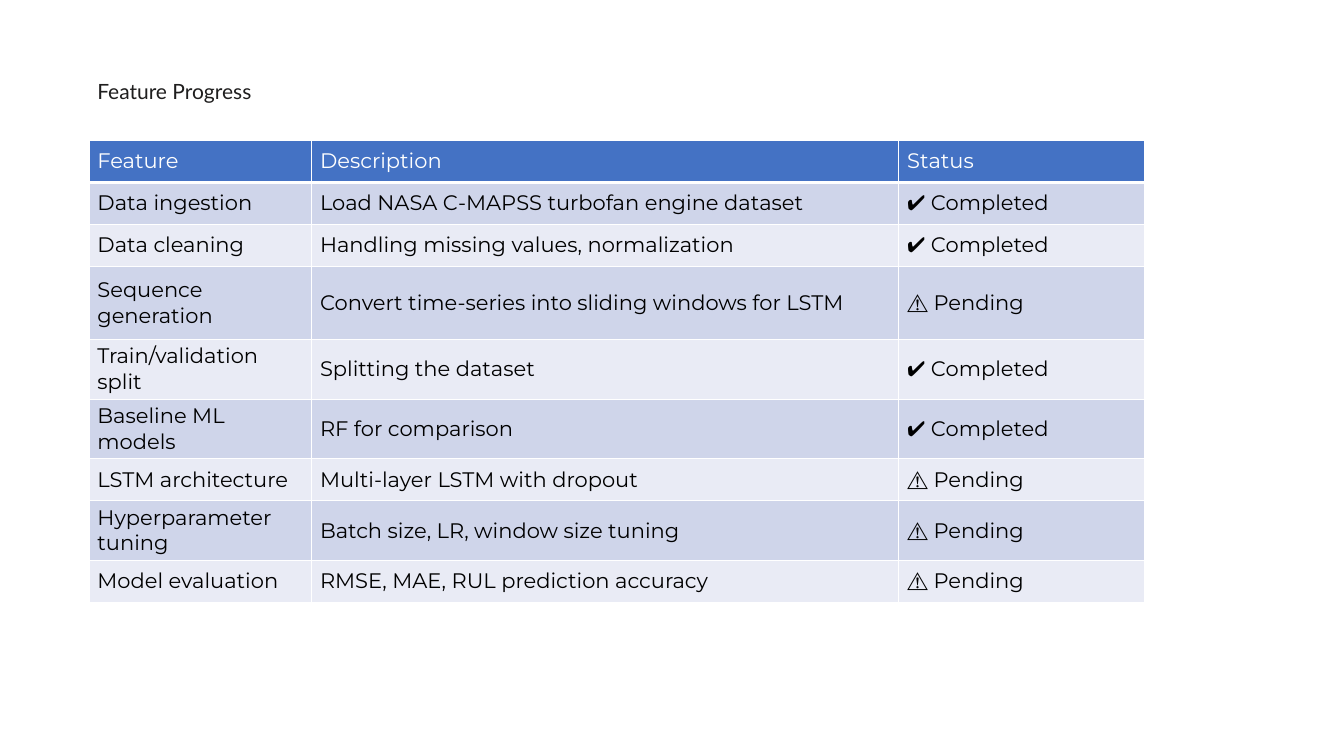
from lxml.etree import SubElement
from pptx import Presentation
from pptx.dml.color import RGBColor
from pptx.enum.text import MSO_ANCHOR as Anchor, MSO_AUTO_SIZE as AutoSize
from pptx.oxml.ns import qn
from pptx.util import Inches, Pt

WHITE = RGBColor(0xFF, 0xFF, 0xFF)
BLACK = RGBColor(0x00, 0x00, 0x00)
INK = RGBColor(0x1F, 0x1E, 0x1E)
HEADER_BLUE = RGBColor(0x44, 0x72, 0xC4)
BAND_DARK = RGBColor(0xCF, 0xD5, 0xEA)
BAND_LIGHT = RGBColor(0xE9, 0xEB, 0xF5)

DONE = "✔️ Completed"
PENDING = "⚠️ Pending"
FEATURES = [
    ("Feature", "Description", "Status"),
    ("Data ingestion", "Load NASA C-MAPSS turbofan engine dataset", DONE),
    ("Data cleaning", "Handling missing values, normalization", DONE),
    ("Sequence generation", "Convert time-series into sliding windows for LSTM", PENDING),
    ("Train/validation split", "Splitting the dataset", DONE),
    ("Baseline ML models", "RF for comparison", DONE),
    ("LSTM architecture", "Multi-layer LSTM with dropout", PENDING),
    ("Hyperparameter tuning", "Batch size, LR, window size tuning", PENDING),
    ("Model evaluation", "RMSE, MAE, RUL prediction accuracy", PENDING),
]
COLUMN_WIDTHS = [2.65, 6.99, 2.93]
ROW_HEIGHT = 0.5
TALL_ROWS = {3: 0.87}


class ProgressPage:
    title_font = "Lato"
    table_font = "Montserrat"
    size = Pt(18)

    def __init__(self, deck):
        self.page = deck.slides.add_slide(deck.slide_layouts[6])

    def style(self, para, font, color):
        para.font.name = font
        para.font.size = self.size
        para.font.color.rgb = color

    def title(self, text, left, top, width, height):
        box = self.page.shapes.add_textbox(
            Inches(left), Inches(top), Inches(width), Inches(height))
        frame = box.text_frame
        frame.word_wrap = True
        frame.auto_size = AutoSize.SHAPE_TO_FIT_TEXT
        para = frame.paragraphs[0]
        para.text = text
        para.line_spacing = Pt(38)
        self.style(para, self.title_font, INK)

    def borders(self, cell, bottom):
        # Border lines must come before the cell fill
        properties = cell._tc.get_or_add_tcPr()
        for side, points in (("L", 1), ("R", 1), ("T", 1), ("B", bottom)):
            line = SubElement(properties, qn(f"a:ln{side}"), w=str(Pt(points)))
            fill = SubElement(line, qn("a:solidFill"))
            SubElement(fill, qn("a:srgbClr"), val=str(WHITE))

    def cell(self, cell, text, fill, color, bottom):
        self.borders(cell, bottom)
        cell.fill.solid()
        cell.fill.fore_color.rgb = fill
        cell.vertical_anchor = Anchor.MIDDLE
        para = cell.text_frame.paragraphs[0]
        para.text = text
        self.style(para, self.table_font, color)

    def table(self, rows, left, top, widths):
        heights = [TALL_ROWS.get(index, ROW_HEIGHT) for index in range(len(rows))]
        table = self.page.shapes.add_table(
            len(rows), len(widths), Inches(left), Inches(top),
            Inches(sum(widths)), Inches(sum(heights))).table
        for column, width in zip(table.columns, widths):
            column.width = Inches(width)
        for index, (texts, height) in enumerate(zip(rows, heights)):
            table.rows[index].height = Inches(height)
            if index == 0:
                fill, color, bottom = HEADER_BLUE, WHITE, 3
            else:
                fill = BAND_DARK if index % 2 else BAND_LIGHT
                color, bottom = BLACK, 1
            for column, text in enumerate(texts):
                self.cell(table.cell(index, column), text, fill, color, bottom)


def main():
    deck = Presentation()
    deck.slide_width, deck.slide_height = Inches(16), Inches(9)
    page = ProgressPage(deck)

    # Feature table
    page.table(FEATURES, 1.06, 1.67, COLUMN_WIDTHS)

    # Heading
    page.title("Feature Progress", 1.06, 0.66, 8, 0.57)

    deck.save("out.pptx")


if __name__ == "__main__":
    main()
